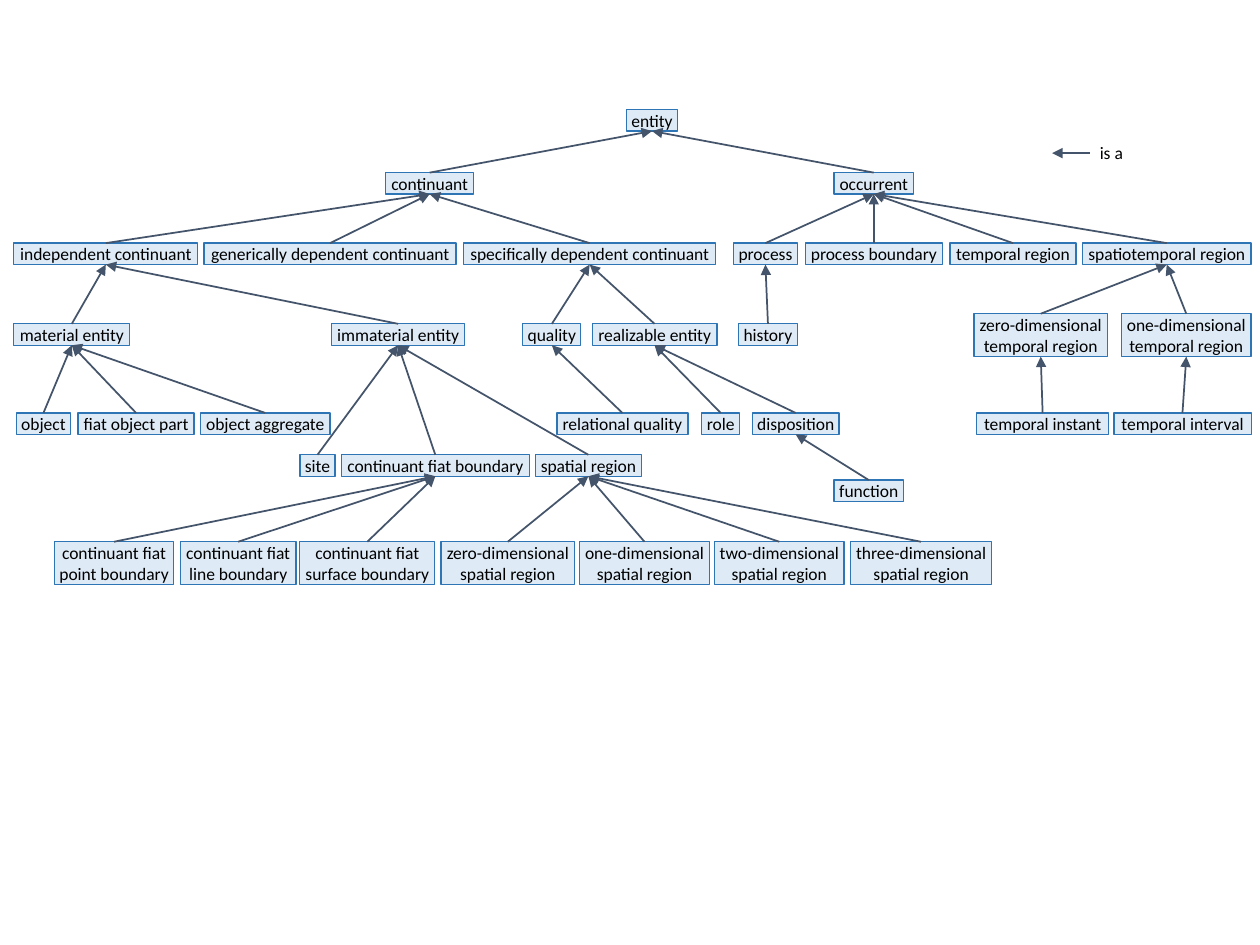
from lxml import etree
from pptx import Presentation
from pptx.dml.color import RGBColor
from pptx.enum.shapes import MSO_CONNECTOR, MSO_SHAPE
from pptx.enum.text import MSO_ANCHOR, MSO_AUTO_SIZE as AutoSize, PP_ALIGN
from pptx.oxml.ns import qn
from pptx.util import Inches, Pt

THEME = {
    "font": "Calibri",
    "size": Pt(10),
    "text": RGBColor.from_string("000000"),
    "fill": RGBColor.from_string("DEEBF7"),
    "border": RGBColor.from_string("2E75B6"),
    "arrow": RGBColor.from_string("44546A"),
    "border_width": Pt(0.75),
    "arrow_width": Pt(1),
}

deck = Presentation()
deck.slide_width, deck.slide_height = Inches(10), Inches(7.5)
page = deck.slides.add_slide(deck.slide_layouts[6])

# Grid: 100 columns and 100 rows across the slide
COLUMN = deck.slide_width / 100
ROW = deck.slide_height / 100
LINE_ROWS = 2.27  # height of one line of text
SIDE_MARGIN = round(0.2 * COLUMN)  # narrow enough for each label to stay on its line

# Each level: top row, then its classes as (name, parent, left column, columns wide)
LEVELS = [
    (11.6, [("entity", None, 49.7, 4.1)]),
    (18.27, [
        ("continuant", "entity", 30.6, 7),
        ("occurrent", "entity", 66.2, 6.3),
    ]),
    (25.73, [
        ("independent continuant", "continuant", 1.1, 14.6),
        ("generically dependent continuant", "continuant", 16.2, 20),
        ("specifically dependent continuant", "continuant", 36.8, 20),
        ("process", "occurrent", 58.2, 5.1),
        ("process boundary", "occurrent", 63.9, 10.9),
        ("temporal region", "occurrent", 75.4, 10),
        ("spatiotemporal region", "occurrent", 85.9, 13.4),
    ]),
    (33.2, [
        ("zero-dimensional\ntemporal region", "spatiotemporal region", 77.3, 10.6),
        ("one-dimensional\ntemporal region", "spatiotemporal region", 89, 10.3),
    ]),
    (34.27, [
        ("material entity", "independent continuant", 1.1, 9.2),
        ("immaterial entity", "independent continuant", 26.3, 10.6),
        ("quality", "specifically dependent continuant", 41.5, 4.6),
        ("realizable entity", "specifically dependent continuant", 47, 9.9),
        ("history", "process", 58.6, 4.7),
    ]),
    (43.7, [
        ("object", "material entity", 1.3, 4.3),
        ("fiat object part", "material entity", 6.2, 9.2),
        ("object aggregate", "material entity", 15.9, 10.3),
        ("relational quality", "quality", 44.2, 10.4),
        ("role", "realizable entity", 55.7, 3),
        ("disposition", "realizable entity", 59.7, 6.9),
        ("temporal instant", "zero-dimensional\ntemporal region", 77.5, 10.5),
        ("temporal interval", "one-dimensional\ntemporal region", 88.4, 10.9),
    ]),
    (48.13, [
        ("site", "immaterial entity", 23.8, 2.8),
        ("continuant fiat boundary", "immaterial entity", 27.1, 14.9),
        ("spatial region", "immaterial entity", 42.5, 8.4),
    ]),
    (50.8, [("function", "disposition", 66.2, 5.5)]),
    (57.33, [
        ("continuant fiat\npoint boundary", "continuant fiat boundary", 4.3, 9.5),
        ("continuant fiat\nline boundary", "continuant fiat boundary", 14.3, 9.2),
        ("continuant fiat\nsurface boundary", "continuant fiat boundary", 23.8, 10.7),
        ("zero-dimensional\nspatial region", "spatial region", 35, 10.6),
        ("one-dimensional\nspatial region", "spatial region", 46, 10.3),
        ("two-dimensional\nspatial region", "spatial region", 56.7, 10.3),
        ("three-dimensional\nspatial region", "spatial region", 67.5, 11.2),
    ]),
]


def write_text(shape, text, align):
    frame = shape.text_frame
    frame.text = text
    frame.word_wrap = False
    frame.auto_size = AutoSize.SHAPE_TO_FIT_TEXT
    for para in frame.paragraphs:
        para.alignment = align
        para.font.name = THEME["font"]
        para.font.size = THEME["size"]
        para.font.color.rgb = THEME["text"]
    return frame


def add_arrow(x1=0, y1=0, x2=0, y2=0):
    arrow = page.shapes.add_connector(
        MSO_CONNECTOR.STRAIGHT,
        round(x1 * COLUMN), round(y1 * ROW), round(x2 * COLUMN), round(y2 * ROW))
    arrow.line.color.rgb = THEME["arrow"]
    arrow.line.width = THEME["arrow_width"]
    properties = arrow._element.spPr
    etree.SubElement(properties.get_or_add_ln(), qn("a:tailEnd"), type="triangle")
    etree.SubElement(properties, qn("a:effectLst"))
    return arrow


# Class boxes
boxes = {}
for top, classes in LEVELS:
    for name, parent, left, width in classes:
        lines = name.count("\n") + 1
        box = page.shapes.add_shape(
            MSO_SHAPE.RECTANGLE, round(left * COLUMN), round(top * ROW),
            round(width * COLUMN), round(lines * LINE_ROWS * ROW))
        box.shadow.inherit = False
        box.fill.solid()
        box.fill.fore_color.rgb = THEME["fill"]
        box.line.color.rgb = THEME["border"]
        box.line.width = THEME["border_width"]
        frame = write_text(box, name, PP_ALIGN.CENTER)
        frame.margin_left = frame.margin_right = SIDE_MARGIN
        frame.margin_top = frame.margin_bottom = 0
        frame.vertical_anchor = MSO_ANCHOR.TOP
        boxes[name] = box

# Arrows from the top of each class to the bottom of its parent
TOP_SITE, BOTTOM_SITE = 0, 2
for top, classes in LEVELS:
    for name, parent, left, width in classes:
        if parent:
            arrow = add_arrow()
            arrow.begin_connect(boxes[name], TOP_SITE)
            arrow.end_connect(boxes[parent], BOTTOM_SITE)

# Legend
add_arrow(86.5, 16.2, 83.5, 16.2)
legend = page.shapes.add_textbox(
    round(86.3 * COLUMN), round(14.4 * ROW), round(3.9 * COLUMN), round(3.6 * ROW))
write_text(legend, "is a", PP_ALIGN.LEFT)

deck.save("out.pptx")
